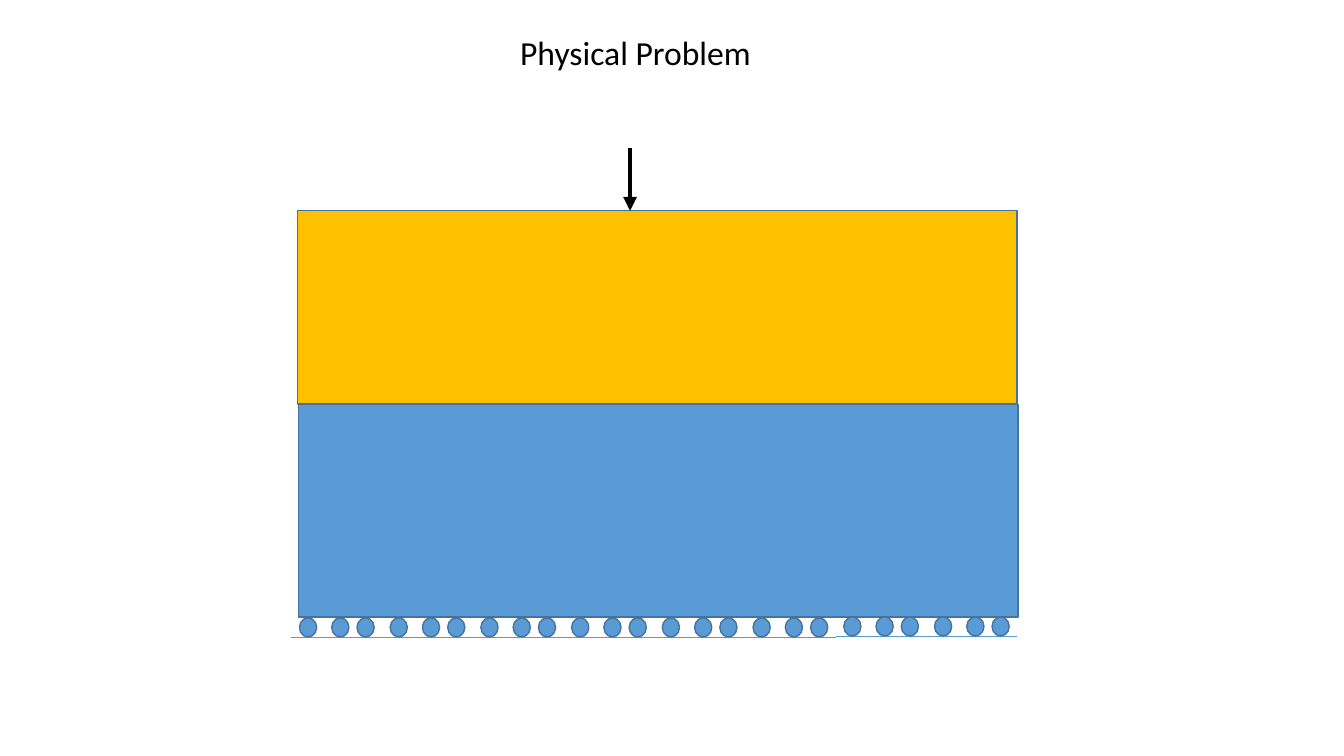
from dataclasses import dataclass

from pptx import Presentation
from pptx.dml.color import RGBColor
from pptx.enum.shapes import MSO_CONNECTOR, MSO_SHAPE
from pptx.enum.text import MSO_ANCHOR, MSO_AUTO_SIZE, PP_ALIGN
from pptx.oxml.ns import qn
from pptx.shapes.connector import Connector
from pptx.shapes.shapetree import GroupShapes, SlideShapes
from pptx.slide import Slide
from pptx.util import Inches, Pt
from lxml.etree import SubElement

SLIDE_WIDTH, SLIDE_HEIGHT = Inches(13.33), Inches(7.5)


@dataclass(frozen=True)
class Theme:
    font: str = "Calibri"
    title_size: float = 24
    ink: RGBColor = RGBColor(0x00, 0x00, 0x00)
    upper_layer: RGBColor = RGBColor(0xFF, 0xC0, 0x00)
    blue: RGBColor = RGBColor(0x5B, 0x9B, 0xD5)
    outline: RGBColor = RGBColor(0x43, 0x73, 0x9E)
    outline_width: float = 1
    ground_width: float = 0.5
    load_width: float = 3.25


@dataclass(frozen=True)
class Area:
    """Position and size in percent of the slide's width and height."""
    left: float
    top: float
    width: float
    height: float

    def emu(self) -> tuple[int, int, int, int]:
        return (across(self.left), down(self.top),
                across(self.width), down(self.height))


@dataclass(frozen=True)
class Layer:
    area: Area
    fill: RGBColor


THEME = Theme()
TITLE_AREA = Area(37.95, 3.6, 18.83, 6.67)
LAYERS = (
    Layer(Area(22.13, 27.87, 53.55, 25.6), THEME.upper_layer),
    Layer(Area(22.2, 53.47, 53.55, 28.13), THEME.blue),
)

# Rollers: eight bays of three, the last two bays slightly higher
BAY_COUNT, RAISED_FROM = 8, 6
FIRST_BAY, BAY_PITCH = 21.67, 6.75
ROLLER_OFFSETS = (0, 2.4, 4.28)
ROLLER_TOP, RAISED_TOP = 81.73, 81.6
ROLLER_WIDTH, ROLLER_HEIGHT = 1.28, 2.53
GROUND_LENGTH = 2.5

LOAD_X, LOAD_TOP = 46.88, 19.6


def across(percent: float) -> int:
    return round(SLIDE_WIDTH * percent / 100)


def down(percent: float) -> int:
    return round(SLIDE_HEIGHT * percent / 100)


def draw_shape(shapes: SlideShapes | GroupShapes, kind: MSO_SHAPE,
               area: Area, fill: RGBColor) -> None:
    shape = shapes.add_shape(kind, *area.emu())
    shape.shadow.inherit = False
    shape.fill.solid()
    shape.fill.fore_color.rgb = fill
    shape.line.color.rgb = THEME.outline
    shape.line.width = Pt(THEME.outline_width)


def draw_line(shapes: SlideShapes | GroupShapes, start: tuple[float, float],
              end: tuple[float, float], color: RGBColor,
              width: float) -> Connector:
    line = shapes.add_connector(
        MSO_CONNECTOR.STRAIGHT, across(start[0]), down(start[1]),
        across(end[0]), down(end[1]))
    line.line.color.rgb = color
    line.line.width = Pt(width)
    SubElement(line._element.spPr, qn("a:effectLst"))
    return line


def draw_bay(slide: Slide, left: float, top: float) -> None:
    bay = slide.shapes.add_group_shape().shapes
    ground = top + ROLLER_HEIGHT
    inset = (GROUND_LENGTH - ROLLER_WIDTH) / 2
    for offset in ROLLER_OFFSETS:
        x = left + offset
        draw_line(bay, (x, ground), (x + GROUND_LENGTH, ground),
                  THEME.blue, THEME.ground_width)
        draw_shape(bay, MSO_SHAPE.OVAL,
                   Area(x + inset, top, ROLLER_WIDTH, ROLLER_HEIGHT),
                   THEME.blue)


def draw_title(slide: Slide, wording: str) -> None:
    title = slide.shapes.title
    title.left, title.top, title.width, title.height = TITLE_AREA.emu()
    frame = title.text_frame
    frame.text = wording
    frame.word_wrap = False
    frame.auto_size = MSO_AUTO_SIZE.SHAPE_TO_FIT_TEXT
    frame.vertical_anchor = MSO_ANCHOR.TOP
    heading = frame.paragraphs[0]
    heading.alignment = PP_ALIGN.LEFT
    heading.font.name = THEME.font
    heading.font.size = Pt(THEME.title_size)
    heading.font.color.rgb = THEME.ink


def draw_load(slide: Slide) -> None:
    load = draw_line(slide.shapes, (LOAD_X, LOAD_TOP),
                     (LOAD_X, LAYERS[0].area.top), THEME.ink,
                     THEME.load_width)
    SubElement(load.line._get_or_add_ln(), qn("a:tailEnd"), type="triangle")


def main() -> None:
    presentation = Presentation()
    presentation.slide_width = SLIDE_WIDTH
    presentation.slide_height = SLIDE_HEIGHT
    slide = presentation.slides.add_slide(presentation.slide_layouts[5])

    # Title
    draw_title(slide, "Physical Problem")

    # Two stacked layers
    for layer in LAYERS:
        draw_shape(slide.shapes, MSO_SHAPE.RECTANGLE, layer.area, layer.fill)

    # Roller supports on the ground line
    for bay in range(BAY_COUNT):
        top = ROLLER_TOP if bay < RAISED_FROM else RAISED_TOP
        draw_bay(slide, FIRST_BAY + bay * BAY_PITCH, top)

    # Point load
    draw_load(slide)

    presentation.save("out.pptx")


if __name__ == "__main__":
    main()
